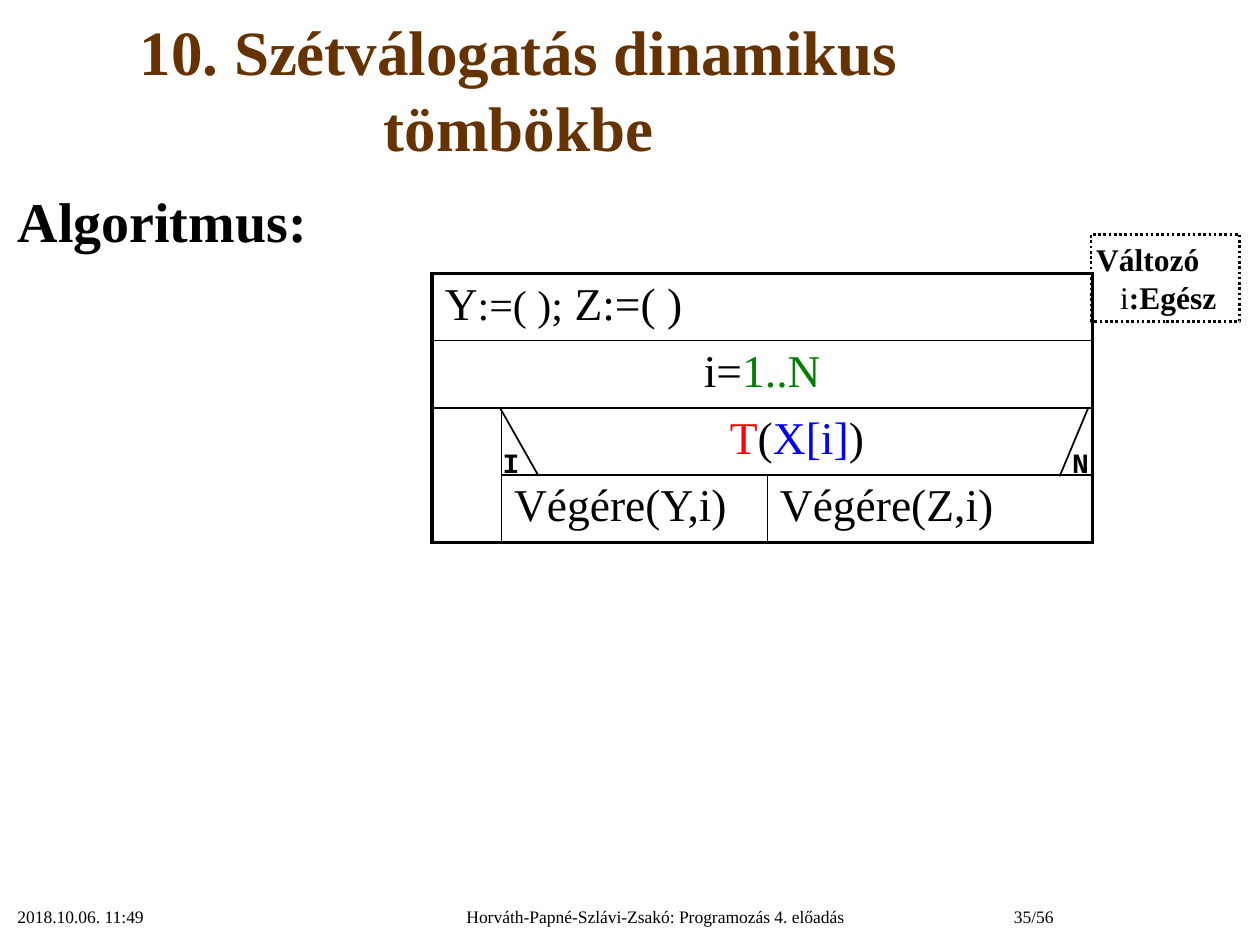
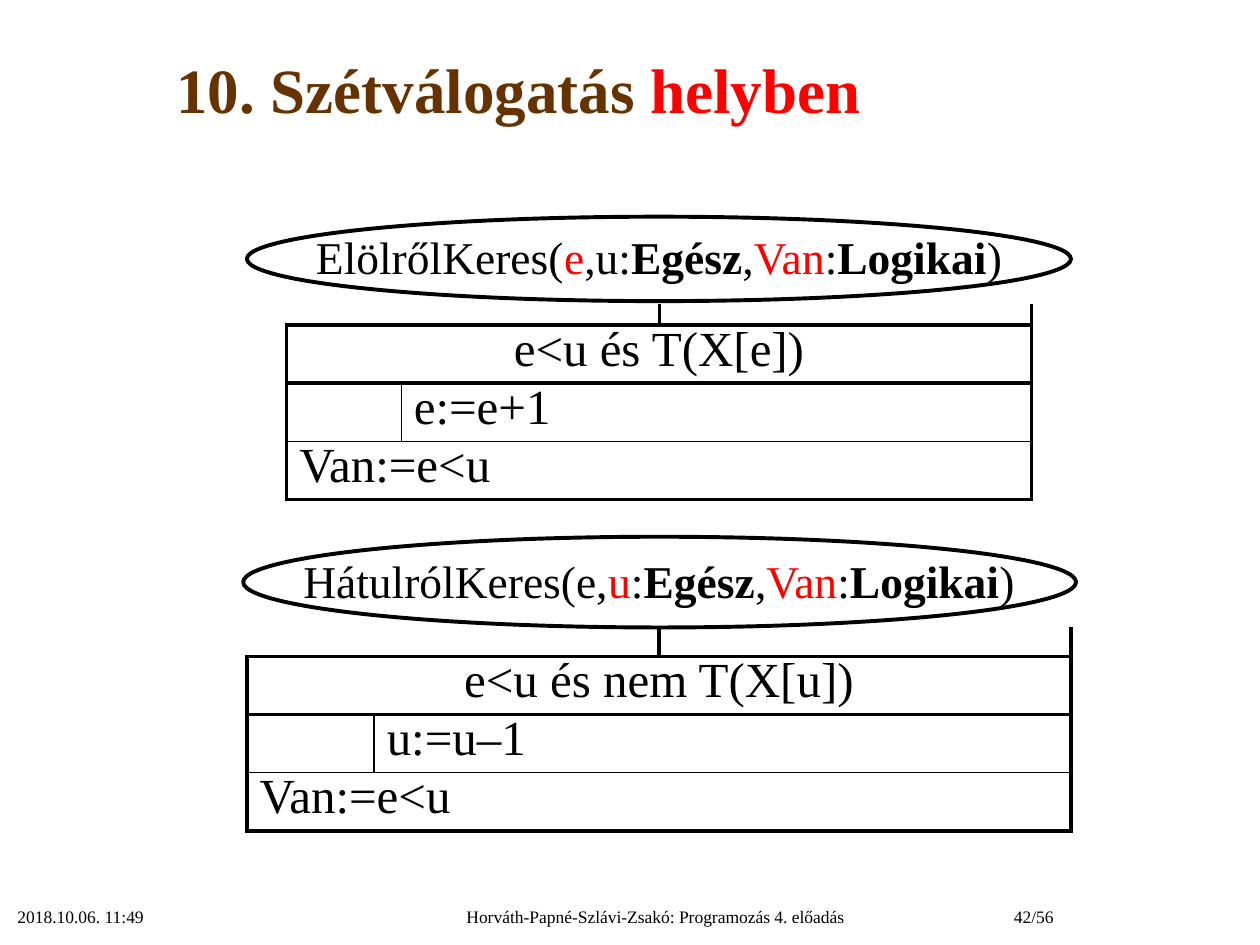
"""Build two lecture slides on partitioning algorithms drawn as structograms."""
from lxml.etree import SubElement
from pptx import Presentation
from pptx.dml.color import RGBColor as RGB
from pptx.enum.dml import MSO_LINE as DASH
from pptx.enum.shapes import MSO_CONNECTOR as CONN, MSO_SHAPE as SHAPE
from pptx.enum.text import MSO_ANCHOR as ANCHOR, MSO_AUTO_SIZE as FIT, PP_ALIGN as AL
from pptx.oxml import parse_xml
from pptx.oxml.ns import nsdecls, qn
from pptx.util import Inches, Pt

THEME = {
    "black": RGB(0, 0, 0), "brown": RGB(0x66, 0x33, 0), "red": RGB(0xFF, 0, 0),
    "green": RGB(0, 0x80, 0), "blue": RGB(0, 0, 0xFF),
    "font": "Times New Roman", "mono": "Courier New",
    "title": Pt(36), "heading": Pt(32), "step": Pt(28), "code": Pt(26),
    "init": Pt(24), "note": Pt(18), "branch": Pt(16), "footer": Pt(10),
    "thin": Pt(1), "dotted": Pt(1.5), "thick": Pt(2.25),
    "plain_table": "{2D5ABB26-0587-4C30-8999-92F81FD0307C}",
}
RED, BOLD = {"color": THEME["red"]}, {"bold": True}


def write(p, *runs, align=AL.LEFT, spacing=None, **fmt):
    """Fill a paragraph with runs, each a string or a (string, format) pair."""
    p.alignment, p.line_spacing = align, spacing
    for run in runs:
        text, extra = run if isinstance(run, tuple) else (run, {})
        look = {"name": THEME["font"], "bold": False, "color": THEME["black"], **fmt, **extra}
        r = p.add_run()
        r.text = text
        r.font.color.rgb = look.pop("color")
        for name, value in look.items():
            setattr(r.font, name, value)


def structogram(s, left, top, cols, rows, cells):
    """Add a table; cells are (row, col, span, borders, runs, format), capital borders thick."""
    frame = s.shapes.add_table(len(rows), len(cols), Inches(left), Inches(top),
                               Inches(sum(cols)), Inches(sum(rows)))
    table = frame.table
    table.first_row = table.horz_banding = False
    frame._element.find(".//" + qn("a:tableStyleId")).text = THEME["plain_table"]
    for col, width in zip(table.columns, cols):
        col.width = Inches(width)
    for row, height in zip(table.rows, rows):
        row.height = Inches(height)
    for row, col, span, borders, runs, fmt in cells:
        cell = table.cell(row, col)
        if span > 1:
            cell.merge(table.cell(row, col + span - 1))
        if runs:
            write(cell.text_frame.paragraphs[0], *runs, **fmt)
        else:
            cell.margin_top = cell.margin_bottom = 0
            SubElement(cell.text_frame.paragraphs[0]._p, qn("a:endParaRPr")).set("sz", "600")
        for i in range(span):
            part = table.cell(row, col + i)
            part.fill.background()
            tcPr = part._tc.get_or_add_tcPr()
            inner = "tb" if i < span - 1 else "rtb"
            sides = "lrtb" if i == 0 else inner
            edges = [e for side in sides for e in borders if e.lower() == side]
            for at, edge in enumerate(edges):
                width = THEME["thick" if edge.isupper() else "thin"]
                tcPr.insert(at, parse_xml(
                    f'<a:ln{edge.upper()} {nsdecls("a")} w="{width}"><a:solidFill>'
                    f'<a:srgbClr val="{THEME["black"]}"/></a:solidFill></a:ln{edge.upper()}>'))


prs = Presentation()
prs.slide_width, prs.slide_height = Inches(10), Inches(7.5)

pages = [
    (1, "35/56", ["10. Szétválogatás dinamikus tömbökbe"]),
    (5, "42/56", ["10. Szétválogatás ", ("helyben", RED)]),
]
slides = []
for layout, number, title in pages:
    s = prs.slides.add_slide(prs.slide_layouts[layout])
    slides.append(s)
    sp = s.shapes.title
    sp.left, sp.top, sp.width, sp.height = map(Inches, (0, 0.09, 8.23, 1.22))
    tf = sp.text_frame
    tf.auto_size, tf.vertical_anchor = FIT.NONE, ANCHOR.MIDDLE
    write(tf.paragraphs[0], *title, align=AL.CENTER, size=THEME["title"],
          color=THEME["brown"], bold=True)
    for left, width, align, text in [
        (0.04, 2.08, AL.LEFT, "2018.10.06. 11:49"),
        (3.04, 4.32, AL.CENTER, "Horváth-Papné-Szlávi-Zsakó: Programozás 4. előadás"),
        (7.19, 1.27, AL.RIGHT, number),
    ]:
        tf = s.shapes.add_textbox(Inches(left), Inches(7.14), Inches(width), Inches(0.39)).text_frame
        tf.word_wrap = True
        write(tf.paragraphs[0], text, align=align, size=THEME["footer"])

s = slides[0]
sp = s.placeholders[1]
sp.left, sp.top, sp.width, sp.height = map(Inches, (0.04, 1.47, 9.77, 5.2))
tf = sp.text_frame
tf.auto_size = FIT.NONE
p = tf.paragraphs[0]
write(p, "Algoritmus:", spacing=0.95, size=THEME["heading"], bold=True)
pPr = p._p.get_or_add_pPr()
pPr.set("marL", str(Inches(0.28)))
pPr.set("indent", str(-Inches(0.28)))
SubElement(pPr, qn("a:buNone"))

code = {"size": THEME["code"]}
centred = {**code, "align": AL.CENTER}
structogram(s, 3.43, 2.17, [0.55, 2.11, 2.58], [0.53] * 4, [
    (0, 0, 3, "LTRb", ["Y", (":=( );", {"size": THEME["init"]}), " Z:=( )"], code),
    (1, 0, 3, "LtR", ["i=", ("1..N", {"color": THEME["green"]})], centred),
    (2, 0, 1, "Lr", [], {}),
    (2, 1, 2, "ltRb", [("T", RED), "(", ("X[i]", {"color": THEME["blue"]}), ")"], centred),
    (3, 0, 1, "LrB", [], {}),
    (3, 1, 1, "ltrB", ["Végére(Y,i)"], code),
    (3, 2, 1, "ltRB", ["Végére(Z,i)"], code),
])

for ends, label, left in [((3.97, 3.24, 4.27, 3.77), "I", 3.89),
                          ((8.64, 3.23, 8.41, 3.78), "N", 8.41)]:
    line = s.shapes.add_connector(CONN.STRAIGHT, *map(Inches, ends))
    line.line.color.rgb, line.line.width = THEME["black"], THEME["thin"]
    SubElement(line._element.spPr, qn("a:effectLst"))
    tf = s.shapes.add_textbox(Inches(left), Inches(3.49), Inches(0.32), Inches(0.37)).text_frame
    tf.word_wrap = False
    write(tf.paragraphs[0], label, size=THEME["branch"], name=THEME["mono"], bold=True)

sp = s.shapes.add_shape(SHAPE.RECTANGLE, *map(Inches, (8.66, 1.86, 1.18, 0.69)))
sp.shadow.inherit = False
sp.fill.background()
sp.line.color.rgb, sp.line.width = THEME["black"], THEME["dotted"]
sp.line.dash_style = DASH.ROUND_DOT
tf = sp.text_frame
tf.vertical_anchor = ANCHOR.MIDDLE
for side in ("left", "top", "right", "bottom"):
    setattr(tf, f"margin_{side}", Inches(0.04))
write(tf.paragraphs[0], "Változó", size=THEME["note"], bold=True)
p = tf.add_paragraph()
write(p, "i", (":Egész", BOLD), size=THEME["note"])
p._p.get_or_add_pPr().set("marL", str(Inches(0.19)))

s = slides[1]
step = {"size": THEME["step"], "spacing": Pt(26)}
types = [":", ("Egész", BOLD), ",", ("Van", RED), ":", ("Logikai", BOLD), ")"]
procedures = [
    (1.65, [0.91, 2.05, 2.95], 0.17, (1.96, 1.72, 6.54, 0.67),
     ["ElölrőlKeres(", ("e", RED), ",u"], "e<u és T(X[e])", "e:=e+1"),
    (4.22, [1.01, 2.26, 3.27], 0.23, (1.93, 4.26, 6.61, 0.72),
     ["HátulrólKeres(e,", ("u", RED)], "e<u és nem T(X[u])", "u:=u–1"),
]
for top, cols, stem, oval, head, condition, body in procedures:
    structogram(s, 5.23 - sum(cols) / 2, top, cols, [0.76, stem] + [0.46] * 3, [
        (0, 0, 3, "", head + types, {**centred, "spacing": 1.4}),
        (1, 0, 2, "RB", [], {}),
        (1, 2, 1, "LB", [], {}),
        (2, 0, 3, "LTR", [condition], {**step, "align": AL.CENTER}),
        (3, 0, 1, "Lrb", [], {}),
        (3, 1, 2, "ltRb", [body], step),
        (4, 0, 3, "LtRB", ["Van:=e<u"], step),
    ])
    sp = s.shapes.add_shape(SHAPE.OVAL, *map(Inches, oval))
    sp.shadow.inherit = False
    sp.fill.background()
    sp.line.color.rgb, sp.line.width = THEME["black"], THEME["thick"]

prs.save("out.pptx")
